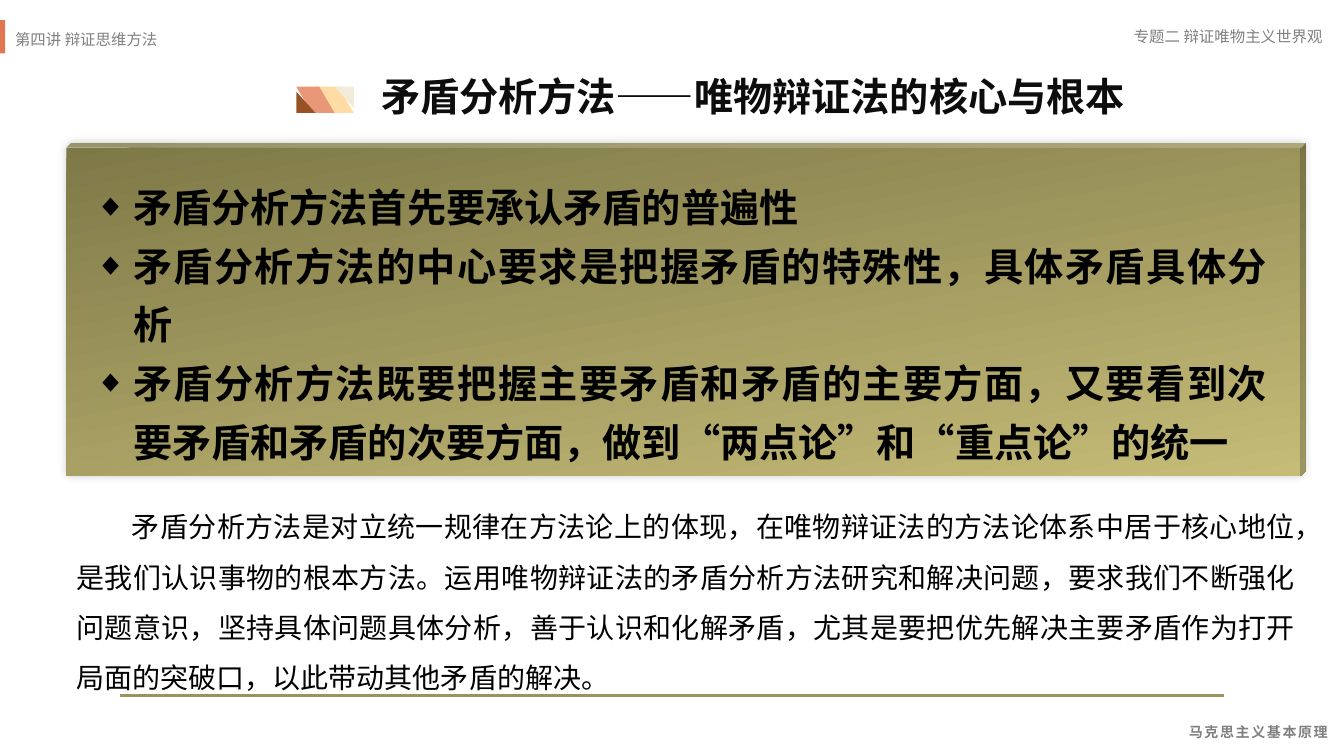
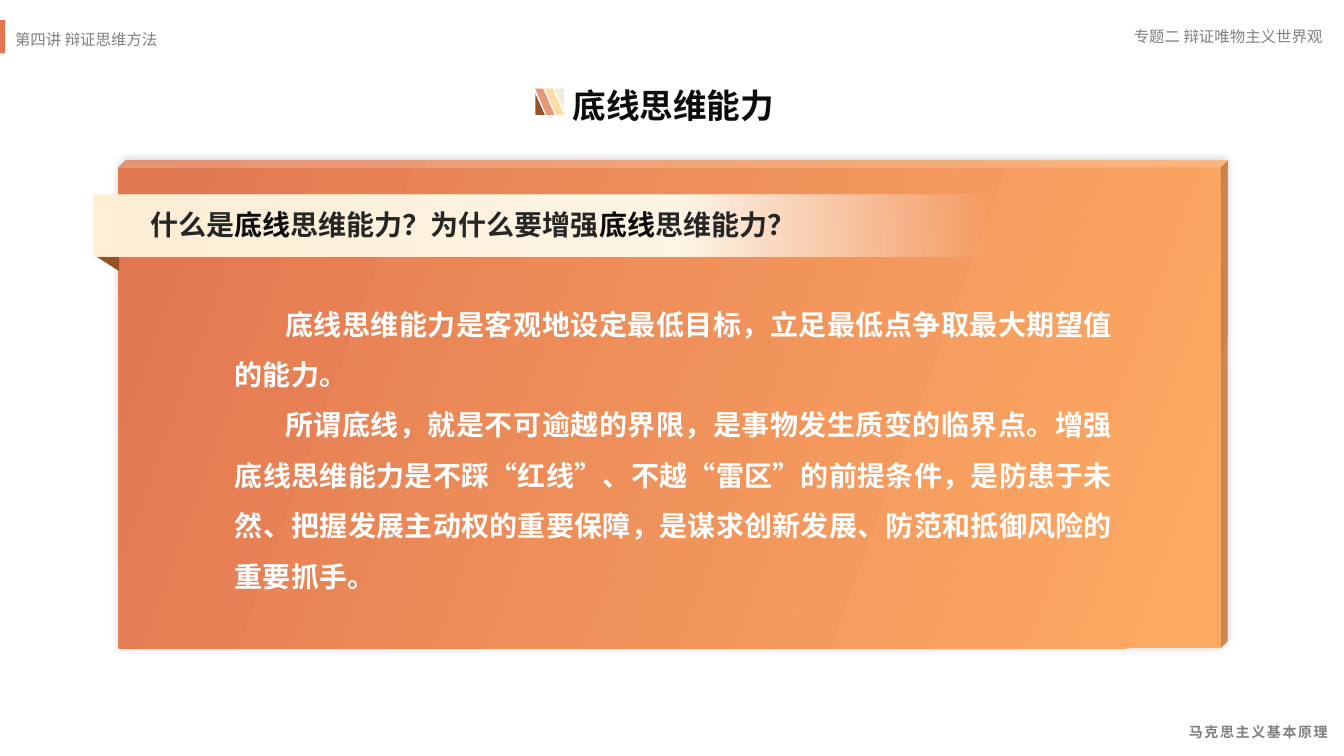
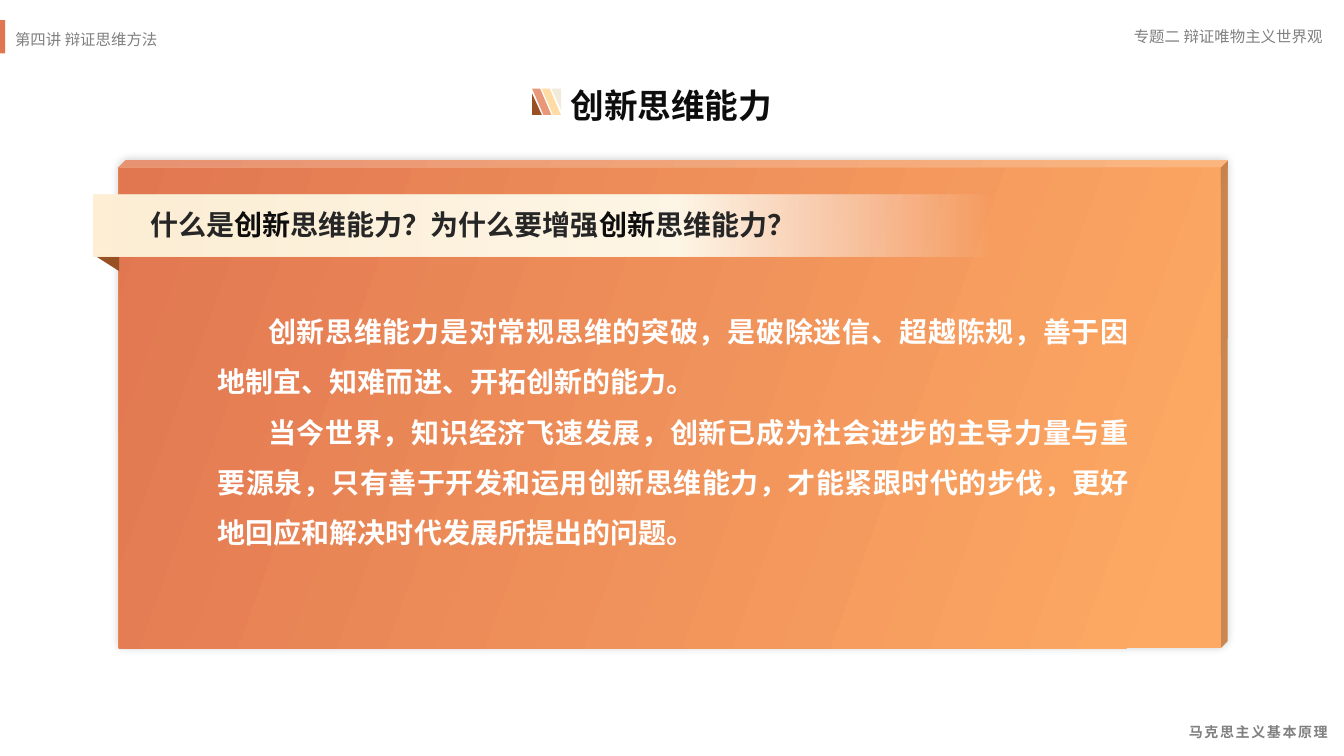
"""Build three slides on dialectical ways of thinking."""
from lxml.etree import SubElement
from pptx import Presentation
from pptx.dml.color import RGBColor
from pptx.enum.shapes import MSO_CONNECTOR, MSO_SHAPE
from pptx.enum.text import MSO_ANCHOR, MSO_AUTO_SIZE, PP_ALIGN
from pptx.oxml import parse_xml
from pptx.oxml.ns import nsdecls, qn
from pptx.util import Inches, Pt

FACE = "Noto Sans CJK SC"
BLACK = RGBColor(0x00, 0x00, 0x00)
WHITE = RGBColor(0xFF, 0xFF, 0xFF)
INK = RGBColor(0x0D, 0x0D, 0x0D)
DARK = RGBColor(0x26, 0x26, 0x26)
GRAY = RGBColor(0x80, 0x80, 0x80)
CORAL = RGBColor(0xE1, 0x77, 0x51)
ROSE = RGBColor(0xE8, 0x97, 0x79)
SAND = RGBColor(0xFE, 0xDC, 0xA3)
IVORY = RGBColor(0xF2, 0xEB, 0xD9)
BROWN = RGBColor(0x98, 0x51, 0x25)
OLIVE = RGBColor(0x9A, 0x93, 0x5B)
MOSS = RGBColor(0x7E, 0x78, 0x47)
KHAKI = RGBColor(0xC5, 0xBC, 0x78)
AMBER = RGBColor(0xFD, 0xA9, 0x63)
CREAM = RGBColor(0xFE, 0xEF, 0xD5)
MILK = RGBColor(0xFF, 0xF7, 0xE7)

WIDE, HIGH = Inches(13.333), Inches(7.5)
LEFT, RIGHT, FULL = PP_ALIGN.LEFT, PP_ALIGN.RIGHT, PP_ALIGN.JUSTIFY

EDGES = [
    ("马克思主义基本原理", (80.1, 93.87, 19.43, 4.27),
     dict(size=10, bold=True, align=RIGHT, line=1.5, track=120)),
    ("专题二 辩证唯物主义世界观", (74.48, 2.93, 24.68, 3.87),
     dict(size=11, align=RIGHT)),
    ("第四讲 辩证思维方法", (0.38, 2.8, 58.73, 4),
     dict(size=11, align=FULL, line=1.2)),
]
TAB = (0, 2.67, 0.38, 4.4)

LEAD = dict(
    title="矛盾分析方法——唯物辩证法的核心与根本", size=28,
    head=(27.6, 8.93, 60.45, 7.6), icon=(22.05, 11.47, 2.85),
    cube=(4.95, 18.93, 92.18, 44), stops=[(0, MOSS), (100, KHAKI)], angle=80,
    area=(6.3, 22, 88.73, 39.87),
    look=dict(size=28, color=BLACK, bold=True, align=FULL, line=1.25,
              margin=0.38, indent=-0.38, mark="◆"),
    body=[
        "矛盾分析方法首先要承认矛盾的普遍性",
        "矛盾分析方法的中心要求是把握矛盾的特殊性，具体矛盾具体分析",
        "矛盾分析方法既要把握主要矛盾和矛盾的主要方面，又要看到次要矛盾和矛盾的次要方面，做到“两点论”和“重点论”的统一",
    ],
)
NOTE = "矛盾分析方法是对立统一规律在方法论上的体现，在唯物辩证法的方法论体系中居于核心地位，是我们认识事物的根本方法。运用唯物辩证法的矛盾分析方法研究和解决问题，要求我们不断强化问题意识，坚持具体问题具体分析，善于认识和化解矛盾，尤其是要把优先解决主要矛盾作为打开局面的突破口，以此带动其他矛盾的解决。"
NOTE_AT = (4.95, 64.53, 92.18, 27.47)
RULE = (8.93, 91.05, 92)

SKILL = dict(
    size=24, cube=(8.85, 21.2, 82.5, 64.53),
    stops=[(4, AMBER), (100, CORAL)], angle=200,
    look=dict(size=20, color=WHITE, bold=True, align=FULL, line=1.5,
              indent=0.5),
)
SKILLS = [
    dict(topic="底线", head=(41.85, 10.53, 18.3, 6.67),
         icon=(39.83, 11.73, 1.43), area=(16.73, 37.73, 66.75, 40.93),
         body=[
             "底线思维能力是客观地设定最低目标，立足最低点争取最大期望值的能力。",
             "所谓底线，就是不可逾越的界限，是事物发生质变的临界点。增强底线思维能力是不踩“红线”、不越“雷区”的前提条件，是防患于未然、把握发展主动权的重要保障，是谋求创新发展、防范和抵御风险的重要抓手。",
         ]),
    dict(topic="创新", head=(41.7, 10.53, 18.68, 6.67),
         icon=(39.6, 11.73, 1.43), area=(15.45, 38.67, 69.3, 35.07),
         body=[
             "创新思维能力是对常规思维的突破，是破除迷信、超越陈规，善于因地制宜、知难而进、开拓创新的能力。",
             "当今世界，知识经济飞速发展，创新已成为社会进步的主导力量与重要源泉，只有善于开发和运用创新思维能力，才能紧跟时代的步伐，更好地回应和解决时代发展所提出的问题。",
         ]),
]
BAR = (6.98, 25.73, 66.75, 8.13)
FOLD = (6.98, 33.73, 1.88, 2.13)
ASK = (10.43, 26.8, 49.73, 5.87)


def apply(item, looks):
    for key, value in looks.items():
        setattr(item, key, value)


def spot(x, y, w, h):
    """Turn percent shares of the slide into lengths."""
    return (int(WIDE * x / 100), int(HIGH * y / 100),
            int(WIDE * w / 100), int(HIGH * h / 100))


def write(shape, paras, size, color=GRAY, bold=False, align=LEFT, line=1,
          margin=0, indent=0, mark=None, track=0):
    """Fill a shape; a paragraph is a string or a list of (text, colour)."""
    frame = shape.text_frame
    apply(frame, dict(word_wrap=True, auto_size=MSO_AUTO_SIZE.NONE,
                      vertical_anchor=MSO_ANCHOR.TOP))
    for n, parts in enumerate(paras):
        para = frame.add_paragraph() if n else frame.paragraphs[0]
        props = para._p.get_or_add_pPr()
        props.set("marL", str(Inches(margin)))
        props.set("indent", str(Inches(indent)))
        if mark:
            SubElement(props, qn("a:buSzPct")).set("val", "80000")
            SubElement(props, qn("a:buChar")).set("char", mark)
        else:
            SubElement(props, qn("a:buNone"))
        apply(para, dict(alignment=align, line_spacing=float(line),
                         space_before=Pt(0)))
        for text, tint in [(parts, color)] if isinstance(parts, str) else parts:
            run = para.add_run()
            run.text = text
            apply(run.font, dict(name=FACE, size=Pt(size), bold=bold))
            run.font.color.rgb = tint
            rpr = run.font._element
            SubElement(rpr, qn("a:ea")).set("typeface", FACE)
            if track:
                rpr.set("spc", str(track))


def label(slide, at, paras, **look):
    box = slide.shapes.add_textbox(*spot(*at))
    write(box, paras, **look)
    return box


def form(slide, kind, at, color=None, turn=0):
    shape = slide.shapes.add_shape(kind, *spot(*at))
    shape.shadow.inherit = False
    shape.line.fill.background()
    shape.rotation = turn
    if color is None:
        shape.fill.background()
    else:
        shape.fill.solid()
        shape.fill.fore_color.rgb = color
    return shape


def blend(shape, stops, angle):
    """Give a shape a gradient; a third stop value is its opacity."""
    marks = "".join(
        f'<a:gs pos="{pos * 1000}"><a:srgbClr val="{color}">'
        f'<a:alpha val="{(rest[0] if rest else 100) * 1000}"/>'
        '</a:srgbClr></a:gs>' for pos, color, *rest in stops)
    grad = parse_xml(
        f'<a:gradFill {nsdecls("a")} rotWithShape="1"><a:gsLst>{marks}'
        f'</a:gsLst><a:lin ang="{angle * 60000}" scaled="0"/></a:gradFill>')
    props = shape.element.spPr
    props.replace(props.find(qn("a:noFill")), grad)


def panel(slide, at, stops, angle):
    cube = form(slide, MSO_SHAPE.CUBE, at)
    cube.adjustments[0] = 0.014
    blend(cube, stops, angle)
    glow = cube.element.spPr.find(qn("a:effectLst"))
    glow.append(parse_xml(
        f'<a:outerShdw {nsdecls("a")} blurRad="{Pt(6)}" dist="0" '
        'dir="18900000" rotWithShape="0"><a:srgbClr val="000000">'
        '<a:alpha val="20000"/></a:srgbClr></a:outerShdw>'))


def icon(slide, x, y, w):
    tall, low = 3.47, 2.8
    for step, slant, tip, turn in [(1, SAND, IVORY, 180), (0, ROSE, BROWN, 0)]:
        slab = form(slide, MSO_SHAPE.PARALLELOGRAM,
                    (x + step * w / 2, y, w, tall), slant)
        slab.adjustments[0] = 0.585
        slab.element.spPr.xfrm.set("flipH", "1")
        top = y if step else y + tall - low
        form(slide, MSO_SHAPE.RIGHT_TRIANGLE,
             (x + step * w, top, w / 2, low), tip, turn)


def raise_up(shape, at):
    tree = shape.element.getparent()
    tree.append(shape.element)
    apply(shape, dict(zip(("left", "top", "width", "height"), spot(*at))))


def page(deck, data):
    slide = deck.slides.add_slide(deck.slide_layouts[1])
    title, body = slide.placeholders
    panel(slide, data["cube"], data["stops"], data["angle"])
    raise_up(body, data["area"])
    write(body, data["body"], **data["look"])
    raise_up(title, data["head"])
    write(title, [data["title"]], size=data["size"], color=INK, bold=True)
    icon(slide, *data["icon"])
    return slide


def ribbon(slide, topic):
    form(slide, MSO_SHAPE.RIGHT_TRIANGLE, FOLD, BROWN, 180)
    bar = form(slide, MSO_SHAPE.RECTANGLE, BAR)
    blend(bar, [(0, CREAM), (65, MILK), (100, WHITE, 0)], 0)
    ask = [("什么是", DARK), (topic, INK), ("思维能力？为什么要增强", DARK),
           (topic, INK), ("思维能力？", DARK)]
    label(slide, ASK, [ask], size=20, bold=True, align=FULL)


def rule(slide):
    x, end, y = RULE
    left, top, span, _ = spot(x, y, end - x, 0)
    line = slide.shapes.add_connector(
        MSO_CONNECTOR.STRAIGHT, left, top, left + span, top)
    line.line.color.rgb = OLIVE
    line.line.width = Pt(2)
    SubElement(line.element.spPr, qn("a:effectLst"))


def frame_up(slide):
    """Put the shared edge labels and tab on the layout."""
    layout = slide.slide_layout
    for spare in list(layout.placeholders):
        if spare.placeholder_format.idx >= 10:
            layout.shapes.element.remove(spare.element)
    parts = [label(slide, at, [text], **look) for text, at, look in EDGES]
    parts.append(form(slide, MSO_SHAPE.RECTANGLE, TAB, CORAL))
    for n, part in enumerate(parts):
        part.element.nvSpPr.cNvPr.set("id", str(20 + n))
        layout.shapes.element.append(part.element)


def main():
    deck = Presentation()
    apply(deck, dict(slide_width=WIDE, slide_height=HIGH))
    first = page(deck, LEAD)
    label(first, NOTE_AT, [NOTE], size=20, color=BLACK, align=FULL, line=1.5,
          indent=0.55)
    rule(first)
    frame_up(first)
    for skill in SKILLS:
        topic = skill["topic"]
        slide = page(deck, {**SKILL, **skill, "title": topic + "思维能力"})
        ribbon(slide, topic)
    deck.save("out.pptx")


if __name__ == "__main__":
    main()
